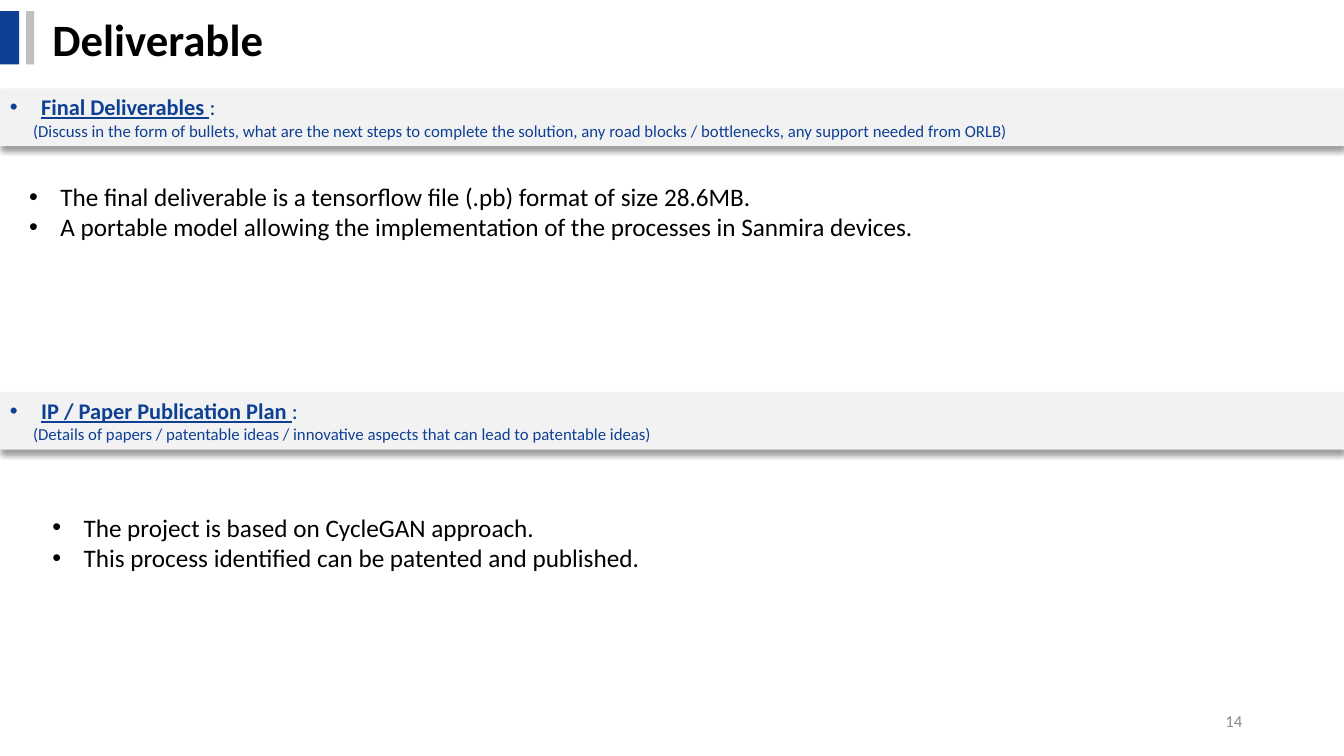
from lxml import etree
from pptx import Presentation
from pptx.dml.color import RGBColor
from pptx.enum.shapes import MSO_SHAPE
from pptx.enum.text import MSO_ANCHOR, PP_ALIGN
from pptx.oxml.ns import qn
from pptx.util import Inches, Pt

RECT = MSO_SHAPE.RECTANGLE
TOP, MIDDLE = MSO_ANCHOR.TOP, MSO_ANCHOR.MIDDLE
LEFT, RIGHT, JUSTIFY = PP_ALIGN.LEFT, PP_ALIGN.RIGHT, PP_ALIGN.JUSTIFY

WIDE, HIGH = 13.33, 7.5
FONT = "Calibri"
BLUE, GRAY, PALE, BLACK, DIM = "0E4094", "BFBFBF", "F2F2F2", "000000", "8C8C8C"
HANG = 0.31

BANDS = [
    (0.88, "Final Deliverables ",
     "(Discuss in the form of bullets, what are the next steps to complete "
     "the solution, any road blocks / bottlenecks, any support needed from ORLB)"),
    (3.89, "IP / Paper Publication Plan ",
     "(Details of papers / patentable ideas / innovative aspects "
     "that can lead to patentable ideas)"),
]
LISTS = [
    (0.19, 1.75, 12.98, [
        "The final deliverable is a tensorflow file (.pb) format of size 28.6MB.",
        "A portable model allowing the implementation of the processes "
        "in Sanmira devices."]),
    (0.42, 5.03, 12.02, [
        "The project is based on CycleGAN approach.",
        "This process identified can be patented and published."]),
]


def color(code):
    return RGBColor.from_string(code)


def style(run, size, code, bold=False, line=False):
    font = run.font
    font.name, font.size = FONT, Pt(size)
    font.bold, font.underline = bold, line
    font.color.rgb = color(code)


def indent(para, left, first=0):
    props = para._p.get_or_add_pPr()
    props.set("marL", str(Inches(left)))
    props.set("indent", str(Inches(first)))
    return props


def bullet(para):
    props = indent(para, HANG, -HANG)
    etree.SubElement(props, qn("a:buFont"), typeface="Arial")
    etree.SubElement(props, qn("a:buChar"), char="•")


def add_bar(slide, left, top, width, height, code):
    bar = slide.shapes.add_shape(
        RECT, Inches(left), Inches(top), Inches(width), Inches(height))
    bar.fill.solid()
    bar.fill.fore_color.rgb = color(code)
    bar.line.fill.background()
    bar.shadow.inherit = False
    return bar


def drop_shadow(shape):
    effects = shape.element.spPr.find(qn("a:effectLst"))
    outer = etree.SubElement(
        effects, qn("a:outerShdw"), blurRad=str(Pt(4)), dist=str(Pt(3)),
        dir="5400000", algn="t", rotWithShape="0")
    tint = etree.SubElement(outer, qn("a:srgbClr"), val=BLACK)
    etree.SubElement(tint, qn("a:alpha"), val="40000")


def add_band(slide, top, head, hint):
    """Draw a full-width section heading with a hint below it."""
    band = add_bar(slide, 0, top, WIDE, 0.57, PALE)
    drop_shadow(band)
    frame = band.text_frame
    frame.word_wrap, frame.vertical_anchor = True, TOP
    title, note = frame.paragraphs[0], frame.add_paragraph()
    title.text, note.text = head, hint
    title.add_run().text = ": "
    title.alignment = note.alignment = JUSTIFY
    bullet(title)
    indent(note, 0.23)
    style(title.runs[0], 16, BLUE, bold=True, line=True)
    style(title.runs[1], 16, BLUE)
    style(note.runs[0], 12, BLUE)


def add_text(slide, left, top, width, height, lines, size, code=BLACK,
             bold=False, align=LEFT, anchor=MIDDLE, dots=False):
    box = slide.shapes.add_textbox(
        Inches(left), Inches(top), Inches(width), Inches(height))
    frame = box.text_frame
    frame.word_wrap, frame.vertical_anchor = True, anchor
    frame.text = "\n".join(lines)
    for para in frame.paragraphs:
        para.alignment = align
        style(para.runs[0], size, code, bold)
        if dots:
            bullet(para)


def main():
    deck = Presentation()
    deck.slide_width, deck.slide_height = Inches(WIDE), Inches(HIGH)
    slide = deck.slides.add_slide(deck.slide_layouts[6])
    add_bar(slide, 0, 0.11, 0.19, 0.53, BLUE)
    add_text(slide, 0.42, 0.06, 10.28, 0.64, ["Deliverable"], 32, bold=True)
    add_bar(slide, 0.26, 0.11, 0.08, 0.53, GRAY)
    for top, head, hint in BANDS:
        add_band(slide, top, head, hint)
    for left, top, width, lines in LISTS:
        add_text(slide, left, top, width, 0.71, lines, 18,
                 anchor=TOP, dots=True)
    add_text(slide, 9.42, 6.95, 3, 0.4, ["14"], 12, DIM, align=RIGHT)
    deck.save("out.pptx")


if __name__ == "__main__":
    main()
